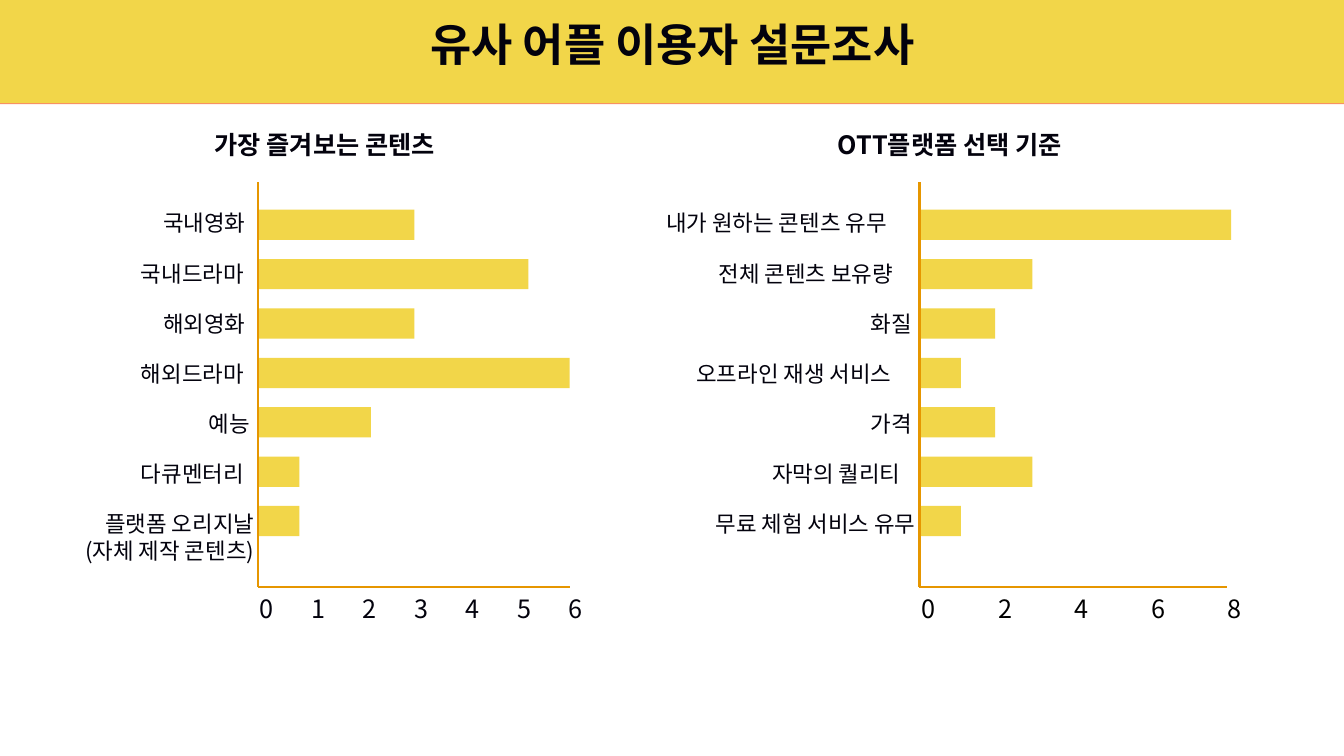
from lxml import etree
from pptx import Presentation
from pptx import util as u
from pptx.dml.color import RGBColor
from pptx.enum import shapes, text
from pptx.oxml.ns import qn

COLORS = {"yellow": "F2D649", "header_edge": "F89261", "axis": "E69600",
          "ink": "03020D", "black": "000000"}
FONT = "Noto Sans CJK KR"

# Grid shared by both charts, in inches
WIDTH, HEIGHT = 13.33, 7.5
LABEL_TOP, LABEL_ROW, LABEL_HEIGHT = 2.03, 0.497, 0.37
BAR_TOP, BAR_ROW, BAR_HEIGHT = 2.08, 0.49, 0.3
AXIS_TOP, AXIS_BOTTOM = 1.81, 5.82
TICK_TOP, TICK_WIDTH, TICK_HEIGHT = 5.84, 0.35, 0.4
HEADING_TOP = 1.23

# Rows hold label, label left, label width and bar length
CHARTS = [
    {"heading": "가장 즐겨보는 콘텐츠", "heading_left": 2.03, "heading_width": 2.4,
     "axis_left": 2.56, "axis_length": 3.09,
     "ticks": range(7), "tick_left": 2.48, "tick_step": 0.51, "tick_color": "ink",
     "rows": [(["국내영화"], 1.52, 1.03, 1.54),
              (["국내드라마"], 1.3, 1.24, 2.67),
              (["해외영화"], 1.52, 1.03, 1.54),
              (["해외드라마"], 1.3, 1.24, 3.08),
              (["예능"], 1.97, 0.62, 1.11),
              (["다큐멘터리"], 1.3, 1.24, 0.4),
              (["플랫폼 오리지날", "(자체 제작 콘텐츠)"], 0.68, 1.94, 0.4)]},
    {"heading": "OTT플랫폼 선택 기준", "heading_left": 8.21, "heading_width": 2.42,
     "axis_left": 9.12, "axis_length": 3.05,
     "ticks": range(0, 9, 2), "tick_left": 9.04, "tick_step": 0.76, "tick_color": "black",
     "rows": [(["내가 원하는 콘텐츠 유무"], 6.51, 2.47, 3.08),
              (["전체 콘텐츠 보유량"], 7.03, 1.99, 1.11),
              (["화질"], 8.54, 0.62, 0.74),
              (["오프라인 재생 서비스"], 6.81, 2.2, 0.4),
              (["가격"], 8.54, 0.62, 0.74),
              (["자막의 퀄리티"], 7.56, 1.51, 1.11),
              (["무료 체험 서비스 유무"], 6.92, 2.26, 0.4)]},
]

deck = Presentation()
deck.slide_width, deck.slide_height = u.Inches(WIDTH), u.Inches(HEIGHT)
page = deck.slides.add_slide(deck.slide_layouts[5])


def write(lines, place, size, color="ink", bold=False, align=text.PP_ALIGN.LEFT, box=None):
    left, top, width, height = map(u.Inches, place)
    if box is None:
        box = page.shapes.add_textbox(left, top, width, height)
    box.left, box.top, box.width, box.height = left, top, width, height
    frame = box.text_frame
    frame.word_wrap = True
    frame.auto_size = text.MSO_AUTO_SIZE.SHAPE_TO_FIT_TEXT
    frame.vertical_anchor = text.MSO_ANCHOR.TOP
    for number, line in enumerate(lines):
        para = frame.add_paragraph() if number else frame.paragraphs[0]
        para.alignment = align
        span = para.add_run()
        span.text = line
        span.font.size, span.font.bold, span.font.name = u.Pt(size), bold, FONT
        span.font.color.rgb = RGBColor.from_string(COLORS[color])
        east_asian = etree.SubElement(span.font._element, qn("a:ea"))
        east_asian.set("typeface", FONT)


def add_block(left, top, width, height):
    block = page.shapes.add_shape(shapes.MSO_SHAPE.RECTANGLE,
                                  *map(u.Inches, (left, top, width, height)))
    block.shadow.inherit = False
    block.fill.solid()
    block.fill.fore_color.rgb = RGBColor.from_string(COLORS["yellow"])
    block.line.fill.background()
    return block


# Header band with a thin orange shadow below it, behind the title
header = add_block(0, 0, WIDTH, 1.02)
effects = header.element.spPr.find(qn("a:effectLst"))
shadow = etree.SubElement(effects, qn("a:outerShdw"), blurRad="0", dist=str(u.Pt(1)),
                          dir="5400000", algn="t", rotWithShape="0")
etree.SubElement(shadow, qn("a:srgbClr"), val=COLORS["header_edge"])
title = page.shapes.title
title.element.addprevious(header.element)
write(["유사 어플 이용자 설문조사"], (3.89, 0.12, 5.56, 0.64), 32, bold=True,
      align=text.PP_ALIGN.CENTER, box=title)

for chart in CHARTS:
    axis_left = chart["axis_left"]
    axis_right = axis_left + chart["axis_length"]

    # Category labels and bars; the last label is right-aligned
    for row, (lines, left, width, length) in enumerate(chart["rows"]):
        is_last = row == len(chart["rows"]) - 1
        write(lines, (left, LABEL_TOP + row * LABEL_ROW, width, LABEL_HEIGHT * len(lines)), 16,
              align=text.PP_ALIGN.RIGHT if is_last else text.PP_ALIGN.LEFT)
        add_block(axis_left + 0.01, BAR_TOP + row * BAR_ROW, length, BAR_HEIGHT)

    # Scale numbers
    for column, value in enumerate(chart["ticks"]):
        tick_left = chart["tick_left"] + column * chart["tick_step"]
        write([str(value)], (tick_left, TICK_TOP, TICK_WIDTH, TICK_HEIGHT), 18,
              chart["tick_color"])

    # Axes
    for ends in ((axis_left, AXIS_TOP, axis_left, AXIS_BOTTOM),
                 (axis_left, AXIS_BOTTOM, axis_right, AXIS_BOTTOM)):
        axis = page.shapes.add_connector(shapes.MSO_CONNECTOR.STRAIGHT, *map(u.Inches, ends))
        axis.line.width = u.Pt(1.5)
        axis.line.color.rgb = RGBColor.from_string(COLORS["axis"])
        etree.SubElement(axis.element.spPr, qn("a:effectLst"))

    # Chart heading
    write([chart["heading"]],
          (chart["heading_left"], HEADING_TOP, chart["heading_width"], 0.4), 18, bold=True)

deck.save("out.pptx")
